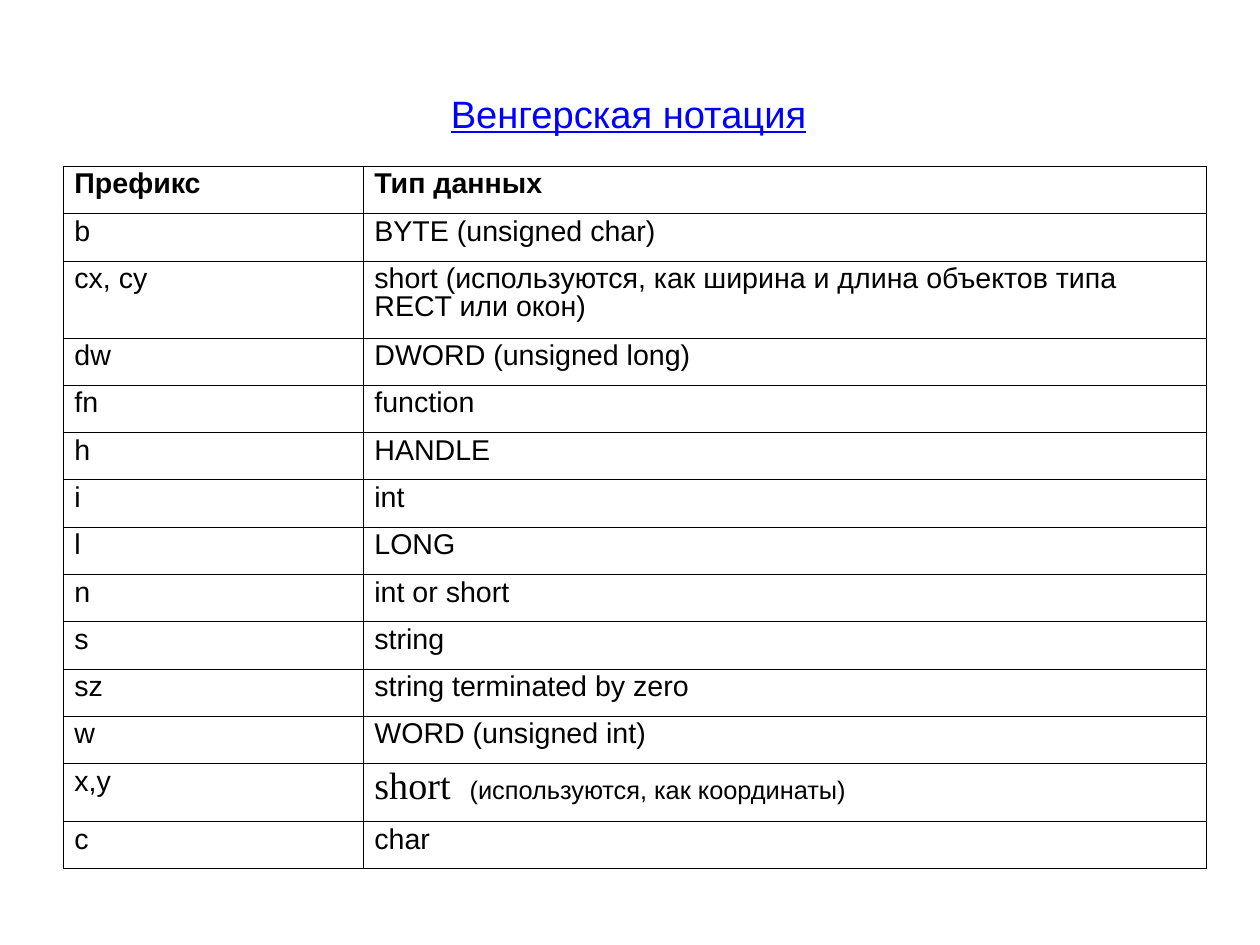
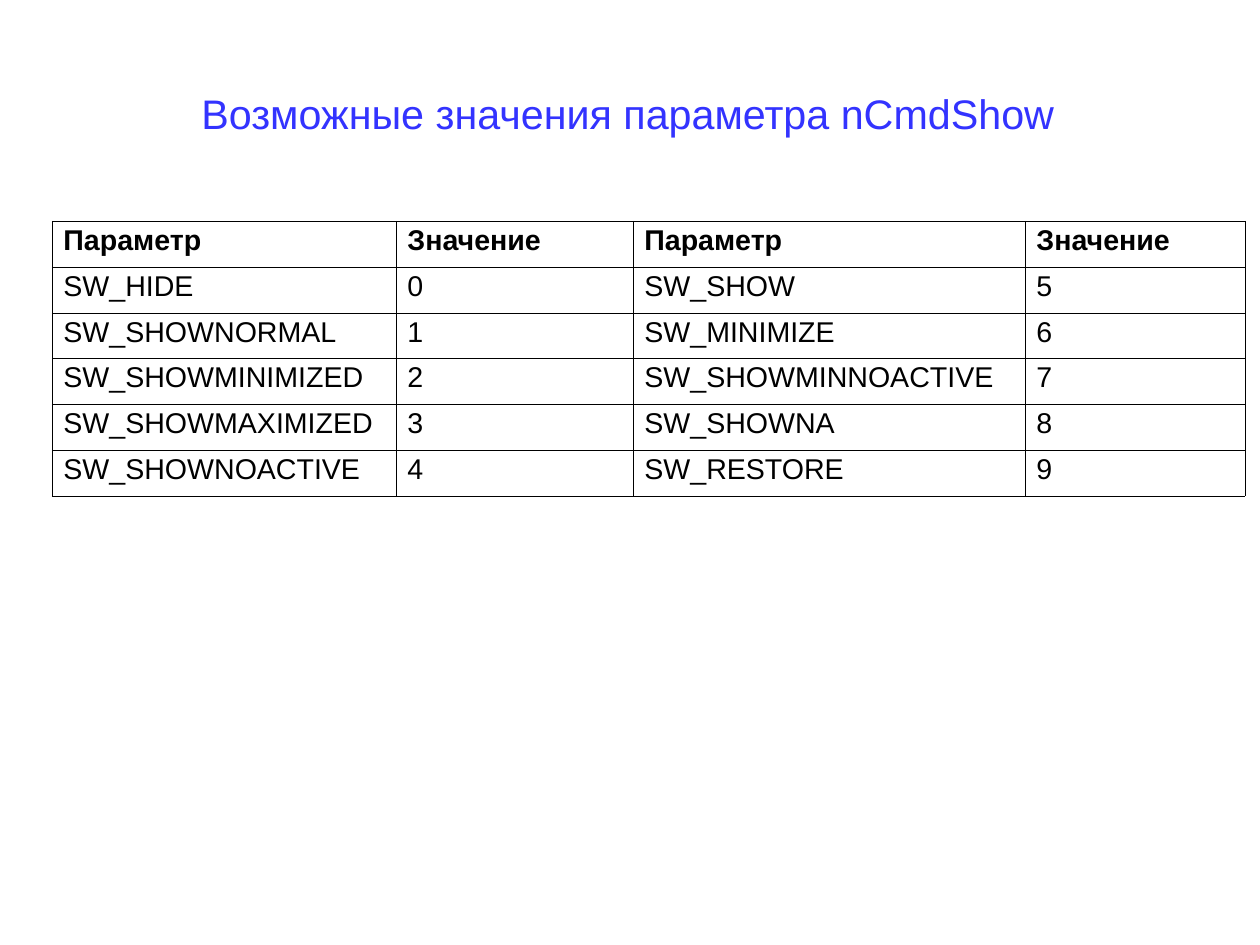
from lxml import etree
from pptx import Presentation
from pptx.dml.color import RGBColor
from pptx.enum.text import MSO_ANCHOR, PP_ALIGN
from pptx.oxml.ns import qn
from pptx.util import Pt

PX = 8000  # EMU per pixel
BLACK = RGBColor(0x00, 0x00, 0x00)
WHITE = RGBColor(0xFF, 0xFF, 0xFF)
LINK_BLUE = RGBColor(0x00, 0x00, 0xFF)
TITLE_BLUE = RGBColor(0x33, 0x33, 0xFF)
FONT = "Arial"
SERIF = "Times New Roman"
CENTER = PP_ALIGN.CENTER
MIDDLE = MSO_ANCHOR.MIDDLE
BORDER_WIDTH = 762
TITLE_BOX = (63, 38, 1131, 155)

# Slide contents: a cell is plain text or a list of (text, font, size, letter spacing)
COORDINATES = [
    ("short", SERIF, 24, 0),
    (" ", SERIF, 24, 6),
    ("(используются, как координаты)", FONT, 16, 0),
]
SLIDES = [
    {
        "title": "Венгерская нотация", "size": 24, "color": LINK_BLUE, "underline": True,
        "left": 63, "top": 166, "height": 703, "columns": [300, 843],
        "tall_rows": {2: 77, 12: 58}, "spacing": 0.87,
        "rows": [
            ("Префикс", "Тип данных"),
            ("b", "BYTE (unsigned char)"),
            ("cx, cy", "short (используются, как ширина и длина объектов типа RECT или окон)"),
            ("dw", "DWORD (unsigned long)"),
            ("fn", "function"),
            ("h", "HANDLE"),
            ("i", "int"),
            ("l", "LONG"),
            ("n", "int or short"),
            ("s", "string"),
            ("sz", "string terminated by zero"),
            ("w", "WORD (unsigned int)"),
            ("x,y", COORDINATES),
            ("c", "char"),
        ],
    },
    {
        "title": "Возможные значения параметра nCmdShow", "size": 26,
        "color": TITLE_BLUE, "underline": False,
        "left": 52, "top": 221, "height": 275, "columns": [344, 237, 392, 220],
        "tall_rows": {}, "spacing": 0.93,
        "rows": [
            ("Параметр", "Значение", "Параметр", "Значение"),
            ("SW_HIDE", "0", "SW_SHOW", "5"),
            ("SW_SHOWNORMAL", "1", "SW_MINIMIZE", "6"),
            ("SW_SHOWMINIMIZED", "2", "SW_SHOWMINNOACTIVE", "7"),
            ("SW_SHOWMAXIMIZED", "3", "SW_SHOWNA", "8"),
            ("SW_SHOWNOACTIVE", "4", "SW_RESTORE", "9"),
        ],
    },
]


def add_run(paragraph, text, font, size, color):
    run = paragraph.add_run()
    run.text = text
    run.font.name = font
    run.font.size = Pt(size)
    run.font.color.rgb = color
    return run


def add_borders(cell):
    properties = cell._tc.get_or_add_tcPr()
    for side in ("a:lnL", "a:lnR", "a:lnT", "a:lnB"):
        line = etree.SubElement(properties, qn(side), w=str(BORDER_WIDTH))
        fill = etree.SubElement(line, qn("a:solidFill"))
        etree.SubElement(fill, qn("a:srgbClr"), val=str(BLACK))


presentation = Presentation()
presentation.slide_width = 1260 * PX
presentation.slide_height = 945 * PX

for content in SLIDES:
    slide = presentation.slides.add_slide(presentation.slide_layouts[6])

    # Title
    title = slide.shapes.add_textbox(*(length * PX for length in TITLE_BOX))
    frame = title.text_frame
    frame.word_wrap = True
    frame.vertical_anchor = MIDDLE
    frame.margin_left = frame.margin_right = frame.margin_top = frame.margin_bottom = 0
    paragraph = frame.paragraphs[0]
    paragraph.alignment = CENTER
    paragraph.line_spacing = 0.93
    run = add_run(paragraph, content["title"], FONT, content["size"], content["color"])
    run.font.underline = content["underline"]

    # Table grid: rows that are not tall share the remaining height equally
    rows, columns, tall_rows = content["rows"], content["columns"], content["tall_rows"]
    table = slide.shapes.add_table(
        len(rows), len(columns), content["left"] * PX, content["top"] * PX,
        sum(columns) * PX, content["height"] * PX).table
    table.first_row = False
    table.horz_banding = False
    for column, width in zip(table.columns, columns):
        column.width = width * PX
    free_height = (content["height"] - sum(tall_rows.values())) * PX
    plain_height = free_height // (len(rows) - len(tall_rows))

    # Table cells
    for row_index, row in enumerate(rows):
        tall = row_index in tall_rows
        table.rows[row_index].height = tall_rows[row_index] * PX if tall else plain_height
        for column_index, value in enumerate(row):
            cell = table.cell(row_index, column_index)
            add_borders(cell)
            cell.fill.solid()
            cell.fill.fore_color.rgb = WHITE
            paragraph = cell.text_frame.paragraphs[0]
            paragraph.line_spacing = content["spacing"]
            if isinstance(value, str):
                run = add_run(paragraph, value, FONT, 18, BLACK)
                run.font.bold = row_index == 0
                continue
            paragraph.line_spacing = 0.9
            for text, font, size, letter_spacing in value:
                run = add_run(paragraph, text, font, size, BLACK)
                run.font._element.set("spc", str(letter_spacing * 100))

presentation.save("out.pptx")
